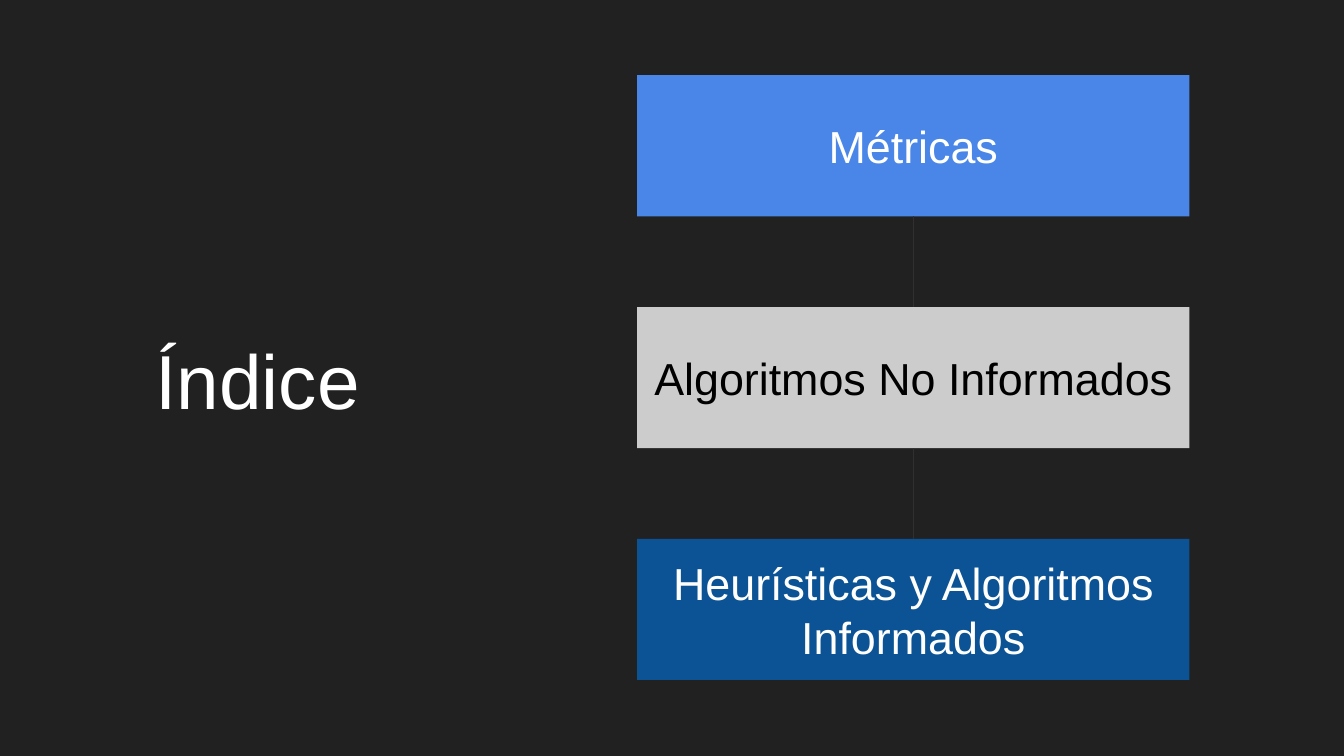
"""Build the index slide with three linked topic boxes."""
from lxml import etree
from pptx import Presentation
from pptx.dml.color import RGBColor
from pptx.enum.shapes import MSO_CONNECTOR, MSO_SHAPE
from pptx.enum.text import MSO_ANCHOR, PP_ALIGN
from pptx.oxml.ns import qn
from pptx.util import Inches, Pt

BACKGROUND = RGBColor(0x21, 0x21, 0x21)
WHITE = RGBColor(0xFF, 0xFF, 0xFF)
BLACK = RGBColor(0x00, 0x00, 0x00)
BLUE = RGBColor(0x4A, 0x86, 0xE8)
GRAY = RGBColor(0xCC, 0xCC, 0xCC)
NAVY = RGBColor(0x0B, 0x53, 0x94)
LINE = RGBColor(0x30, 0x30, 0x30)


def write(sp, text, size=24, color=WHITE, align=PP_ALIGN.CENTER,
          anchor=MSO_ANCHOR.MIDDLE):
    tf = sp.text_frame
    tf.word_wrap = True
    tf.vertical_anchor = anchor
    tf.margin_left = tf.margin_right = Inches(0.1)
    tf.margin_top = tf.margin_bottom = Inches(0.1)
    p = tf.paragraphs[0]
    p.alignment = align
    r = p.add_run()
    r.text = text
    r.font.name = "Arial"
    r.font.size = Pt(size)
    r.font.color.rgb = color


prs = Presentation()
prs.slide_width = Inches(10)
prs.slide_height = Inches(10 * 9 / 16)
s = prs.slides.add_slide(prs.slide_layouts[6])
s.background.fill.solid()
s.background.fill.fore_color.rgb = BACKGROUND

title = s.shapes.add_textbox(Inches(1.06), Inches(2.36), Inches(2.16), Inches(0.9))
write(title, "Índice", size=41, align=PP_ALIGN.LEFT, anchor=MSO_ANCHOR.BOTTOM)

topics = [
    ("Métricas", BLUE, WHITE),
    ("Algoritmos No Informados", GRAY, BLACK),
    ("Heurísticas y Algoritmos Informados", NAVY, WHITE),
]
boxes = []
for i, (text, fill, color) in enumerate(topics):
    sp = s.shapes.add_shape(MSO_SHAPE.RECTANGLE, Inches(4.74),
                            Inches(0.56 + 3.45 * i / 2), Inches(4.11), Inches(1.05))
    sp.shadow.inherit = False
    sp.fill.solid()
    sp.fill.fore_color.rgb = fill
    sp.line.fill.background()
    write(sp, text, color=color)
    boxes.append(sp)

for upper, lower in zip(boxes, boxes[1:]):
    link = s.shapes.add_connector(MSO_CONNECTOR.STRAIGHT, 0, 0, 0, 0)
    link.begin_connect(upper, 2)
    link.end_connect(lower, 0)
    link.line.color.rgb = LINE
    link.line.width = Pt(0.75)
    etree.SubElement(link._element.spPr, qn("a:effectLst"))

prs.save("out.pptx")
